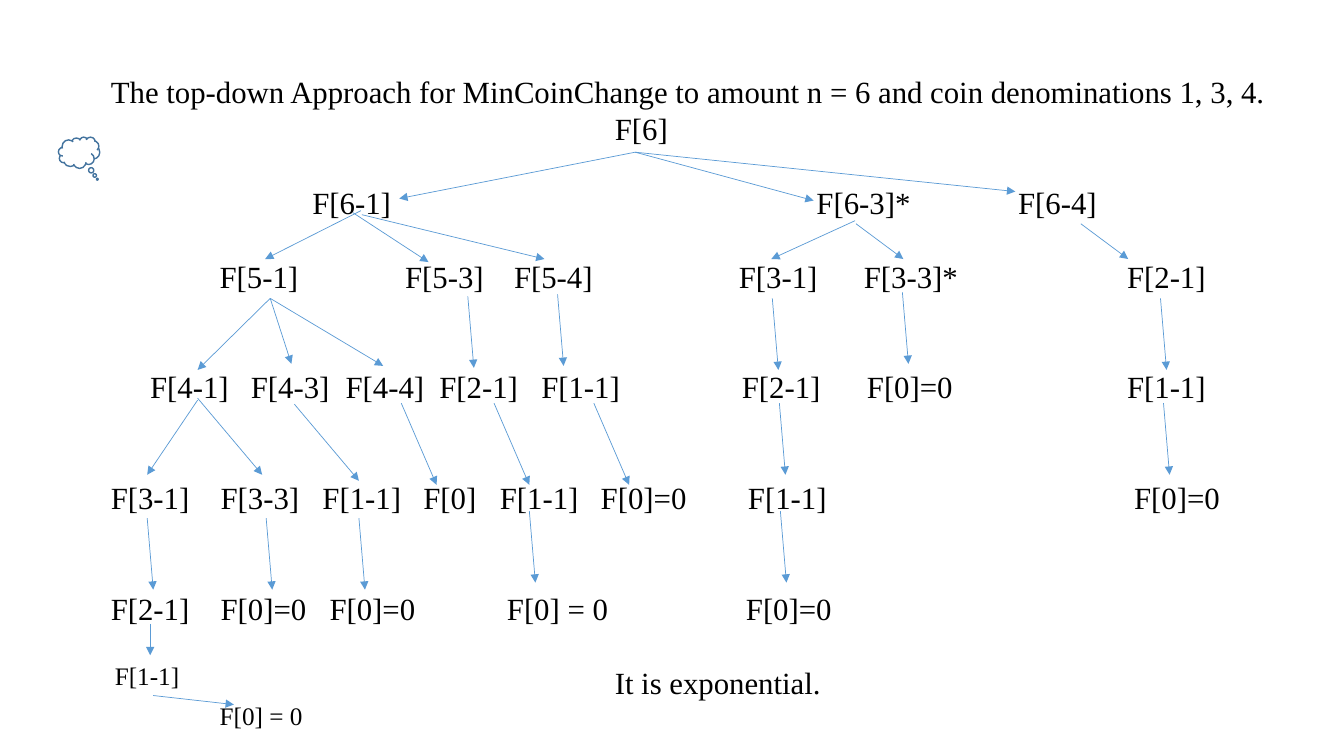
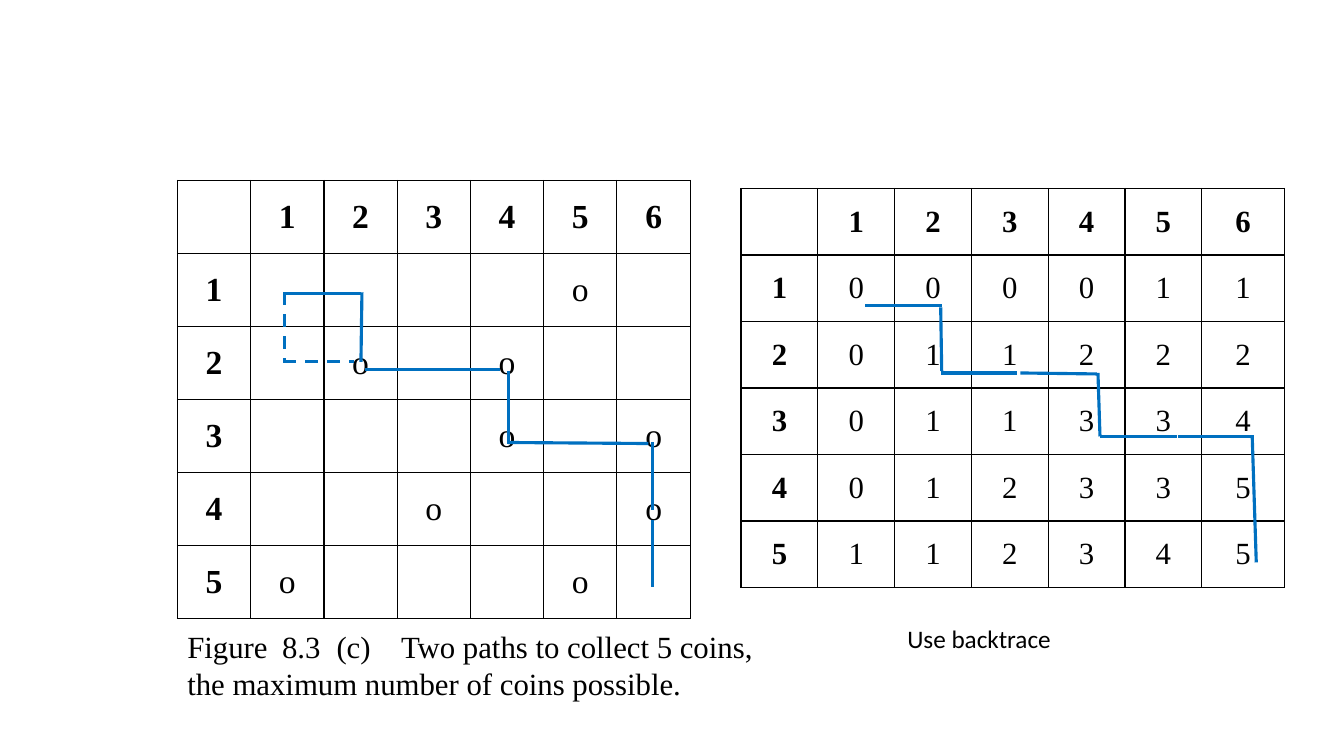
from dataclasses import dataclass

from lxml import etree
from pptx import Presentation
from pptx.dml.color import RGBColor
from pptx.enum.dml import MSO_LINE
from pptx.enum.shapes import MSO_CONNECTOR, MSO_SHAPE
from pptx.enum.text import MSO_ANCHOR, MSO_AUTO_SIZE, PP_ALIGN
from pptx.oxml.ns import qn
from pptx.util import Pt

PX = 9144  # EMU in one px, 100 px to the inch
DASH = MSO_LINE.DASH
STRAIGHT = MSO_CONNECTOR.STRAIGHT
CLOUD = MSO_SHAPE.CLOUD_CALLOUT
TOP, MIDDLE = MSO_ANCHOR.TOP, MSO_ANCHOR.MIDDLE
LEFT, CENTER = PP_ALIGN.LEFT, PP_ALIGN.CENTER
FIXED = MSO_AUTO_SIZE.NONE


@dataclass(frozen=True)
class Theme:
    ink: str = "000000"
    paper: str = "FFFFFF"
    arrow: str = "5B9BD5"
    cloud: str = "43739E"
    route: str = "0070C0"
    serif: str = "Times New Roman"
    sans: str = "Calibri"
    small: int = 18
    text: int = 22
    large: int = 24
    pitch: float = 26.4
    thin: float = 0.5
    edge: float = 1
    thick: float = 2.25


THEME = Theme()

# Line number below the title, then (indent, label) pairs
LEVELS = {
    1: [(500, "F[6]")],
    3: [(200, "F[6-1]"), (700, "F[6-3]*"), (900, "F[6-4]")],
    5: [(108, "F[5-1]"), (292, "F[5-3]"), (400, "F[5-4]"),
        (623, "F[3-1]"), (747, "F[3-3]*"), (1008, "F[2-1]")],
    8: [(39, "F[4-1]"), (139, "F[4-3]"), (233, "F[4-4]"), (326, "F[2-1]"),
        (427, "F[1-1]"), (626, "F[2-1]"), (750, "F[0]=0"), (1008, "F[1-1]")],
    11: [(0, "F[3-1]"), (109, "F[3-3]"), (210, "F[1-1]"), (310, "F[0]"),
         (386, "F[1-1]"), (486, "F[0]=0"), (632, "F[1-1]"), (1015, "F[0]=0")],
    14: [(0, "F[2-1]"), (109, "F[0]=0"), (217, "F[0]=0"),
         (393, "F[0] = 0"), (630, "F[0]=0")],
    16: [(500, "It is exponential.")],
}

# Arrows of equal run and drop, by their starts
DROPS = {
    (6, 71): [(895, 290), (1151, 296), (766, 296), (553, 292), (464, 294),
              (1154, 400), (773, 400), (774, 507), (525, 507), (356, 514),
              (264, 514), (146, 514)],
    (35, 81): [(589, 400), (490, 400), (398, 400)],
    (47, 35): [(849, 222), (1072, 222)],
    (64, 76): [(196, 395), (292, 401)],
}

# Arrows that spread from one start to several ends
FANS = {
    (630, 151): [(396, 197), (807, 199), (1007, 190)],
    (359, 213): [(540, 257)],
    (350, 211): [(425, 260)],
    (358, 209): [(263, 257)],
    (268, 296): [(380, 363), (289, 361), (196, 367)],
    (196, 397): [(146, 471)],
    (848, 219): [(765, 257)],
    (149, 619): [(149, 650)],
    (152, 690): [(232, 699)],
}

COINS = [" 123456", "1    o ", "2 o o  ", "3   o o", "4  o  o", "5o   o "]
SUMS = [" 123456", "1000011", "2011222", "3011334", "4012335", "5112345"]

ROUTE = [
    (282, 291, 358, 291), (359, 290, 358, 359), (362, 367, 496, 367),
    (504, 368, 504, 440), (504, 439, 643, 440), (647, 439, 647, 506),
    (647, 516, 647, 582),
]
DETOUR = [(282, 290, 282, 359), (281, 359, 351, 359)]
TRACE = [
    (858, 303, 934, 303), (933, 305, 934, 368), (933, 370, 1009, 370),
    (1012, 370, 1088, 371), (1089, 370, 1091, 433), (1091, 433, 1167, 433),
    (1168, 433, 1244, 433), (1242, 433, 1244, 496), (1244, 496, 1246, 558),
]


def px(*nums):
    return [round(num * PX) for num in nums]


def rgb(code):
    return RGBColor.from_string(code)


def put(obj, **vals):
    for name, val in vals.items():
        setattr(obj, name, val)


def place(shape, box):
    put(shape, **dict(zip(("left", "top", "width", "height"), px(*box))))


def write(para, text, size=THEME.text, face=THEME.serif, bold=False):
    run = para.add_run()
    run.text = text
    put(run.font, size=Pt(size), name=face, bold=bold)
    run.font.color.rgb = rgb(THEME.ink)


def set_tabs(para, stops):
    """Set left tab stops in px."""
    tabs = etree.SubElement(para._p.get_or_add_pPr(), qn("a:tabLst"))
    for stop in stops:
        etree.SubElement(tabs, qn("a:tab"), pos=str(stop * PX), algn="l")


def space(para):
    put(para, alignment=LEFT, line_spacing=Pt(THEME.pitch),
        space_before=Pt(0), space_after=Pt(0))


def frame(shape, box):
    place(shape, box)
    body = shape.text_frame
    put(body, word_wrap=True, auto_size=FIXED, vertical_anchor=TOP)
    return body


def note(slide, box, text, **look):
    shape = slide.shapes.add_textbox(*px(*box))
    para = frame(shape, box).paragraphs[0]
    write(para, text, **look)
    return para


def link(slide, ends, color, width, dash=None, arrow=False):
    line = slide.shapes.add_connector(STRAIGHT, *px(*ends))
    put(line.line, width=Pt(width), dash_style=dash)
    line.line.color.rgb = rgb(color)
    props = line._element.spPr
    if arrow:
        etree.SubElement(props.find(qn("a:ln")), qn("a:tailEnd"), type="triangle")
    etree.SubElement(props, qn("a:effectLst"))


def border(cell):
    props = cell._tc.get_or_add_tcPr()
    for spot, side in enumerate(("a:lnL", "a:lnR", "a:lnT", "a:lnB")):
        line = etree.Element(qn(side), w=str(Pt(THEME.edge)))
        fill = etree.SubElement(line, qn("a:solidFill"))
        etree.SubElement(fill, qn("a:srgbClr"), val=THEME.ink)
        props.insert(spot, line)


def grid(slide, box, rows, size, last):
    """Draw a table of one-letter cells; last is the final column's width."""
    count = len(rows[0])
    table = slide.shapes.add_table(len(rows), count, *px(*box)).table
    put(table, first_row=False, horz_banding=False)
    wide = (box[2] - last) / (count - 1)
    side = px(7)[0]
    for num, col in enumerate(table.columns):
        col.width = px(last if num == count - 1 else wide)[0]
    for row, marks in enumerate(rows):
        table.rows[row].height = px(box[3] / len(rows))[0]
        for col, mark in enumerate(marks):
            cell = table.cell(row, col)
            put(cell, vertical_anchor=MIDDLE, margin_left=side,
                margin_right=side, margin_top=0, margin_bottom=0)
            cell.fill.solid()
            cell.fill.fore_color.rgb = rgb(THEME.paper)
            border(cell)
            if mark.strip():
                para = cell.text_frame.paragraphs[0]
                para.alignment = CENTER
                write(para, mark, size, bold=row == 0 or col == 0)


def cloud(slide, box):
    shape = slide.shapes.add_shape(CLOUD, *px(*box))
    shape.shadow.inherit = False
    shape.adjustments[0], shape.adjustments[1] = 0.44, 0.85
    shape.fill.solid()
    shape.fill.fore_color.rgb = rgb(THEME.paper)
    shape.line.color.rgb = rgb(THEME.cloud)
    shape.line.width = Pt(THEME.edge)


def tree(deck):
    slide = deck.slides.add_slide(deck.slide_layouts[5])
    left, top, step = 100, 67, THEME.pitch * 100 / 72
    head = frame(slide.shapes.title, (left, top, 1200, 47)).paragraphs[0]
    space(head)
    write(head, "The top-down Approach for MinCoinChange to amount n = 6 "
                "and coin denominations 1, 3, 4.")
    for line, nodes in LEVELS.items():
        for dent, label in nodes:
            box = (left + dent, top + line * step, 40 + 12 * len(label), 47)
            space(note(slide, box, label))
    pairs = [((x, y), (x + run, y + drop))
             for (run, drop), starts in DROPS.items() for x, y in starts]
    pairs += [(start, end) for start, ends in FANS.items() for end in ends]
    for start, end in pairs:
        link(slide, start + end, THEME.arrow, THEME.thin, arrow=True)
    note(slide, (104, 650, 91, 40), "F[1-1]", size=THEME.small)
    note(slide, (208, 690, 109, 40), "F[0] = 0", size=THEME.small)
    cloud(slide, (58, 136, 41, 31))


def paths(deck):
    slide = deck.slides.add_slide(deck.slide_layouts[6])
    grid(slide, (176, 179, 509, 435), COINS, THEME.large, 73)
    grid(slide, (735, 187, 539, 396), SUMS, THEME.text, 82)
    for lines, dash in ((ROUTE, None), (DETOUR, DASH), (TRACE, None)):
        for ends in lines:
            link(slide, ends, THEME.route, THEME.thick, dash)
    para = note(slide, (176, 618, 593, 84),
                "Figure\t8.3\t(c)\tTwo paths to collect 5 coins, "
                "the maximum number of coins possible.")
    set_tabs(para, (94, 148, 212))
    space(para)
    note(slide, (890, 613, 352, 40), "Use backtrace",
         size=THEME.small, face=THEME.sans)


def main():
    deck = Presentation()
    put(deck, **dict(zip(("slide_width", "slide_height"), px(1333, 750))))
    tree(deck)
    paths(deck)
    deck.save("out.pptx")


if __name__ == "__main__":
    main()
